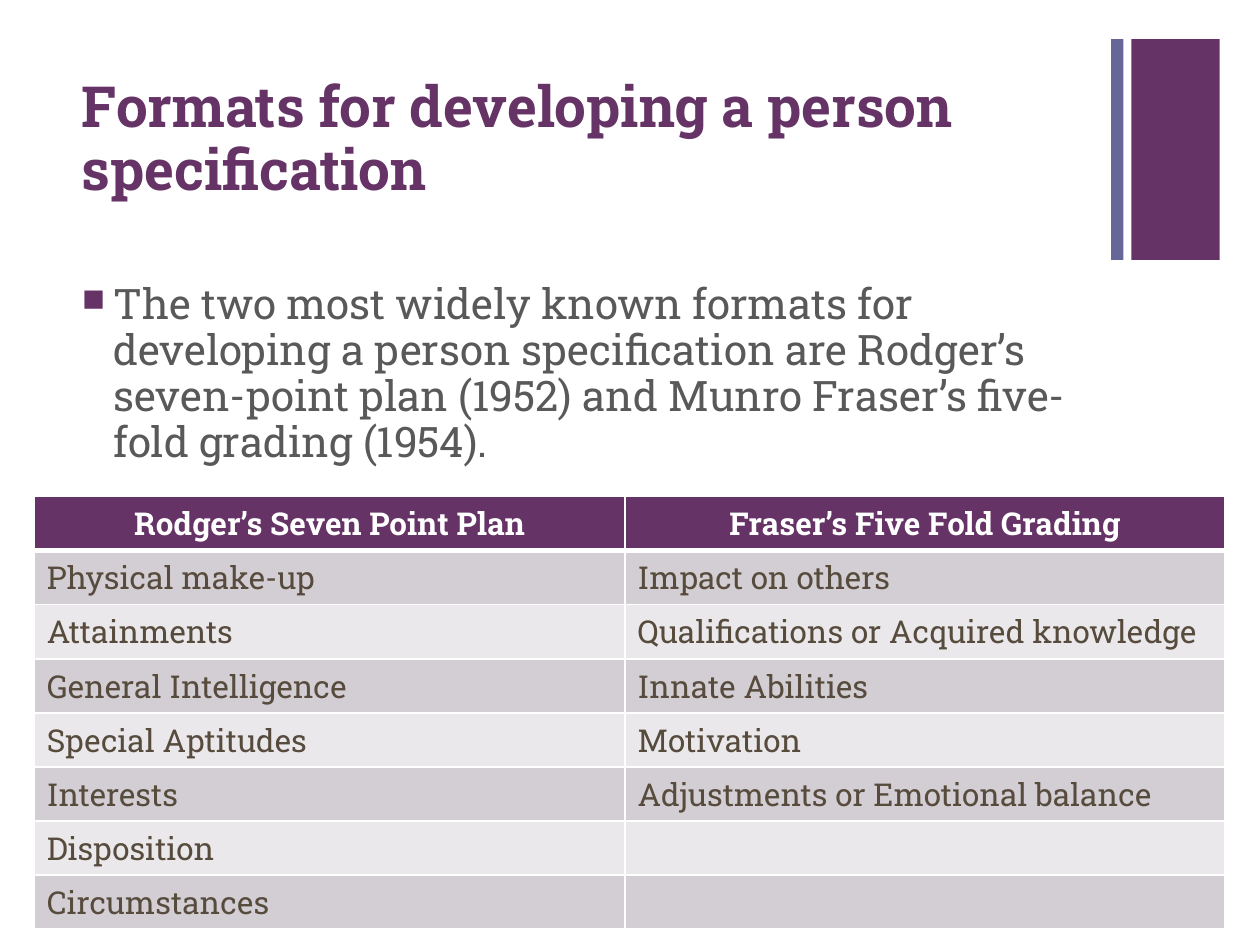
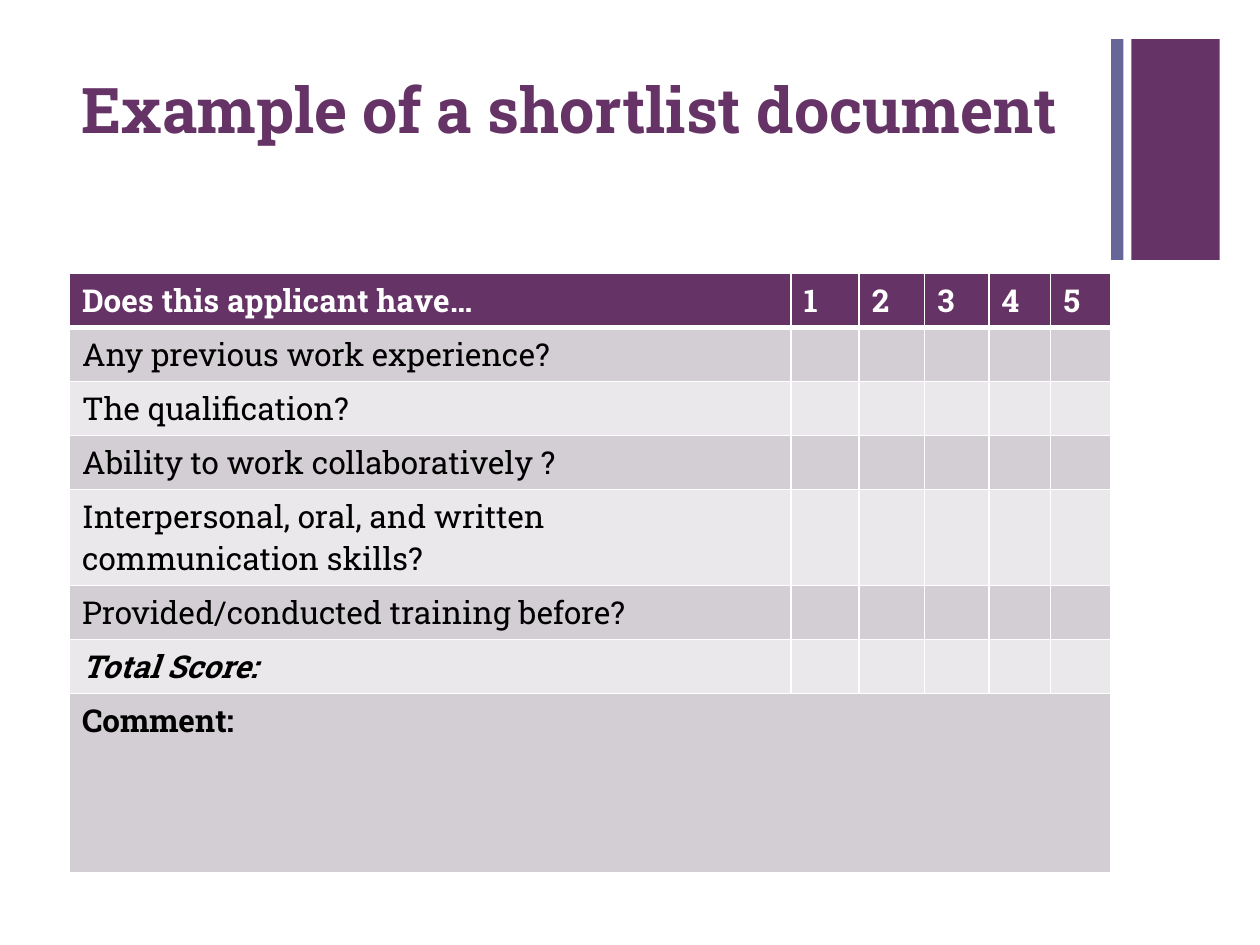
from lxml import etree
from pptx import Presentation
from pptx.dml.color import RGBColor
from pptx.enum.shapes import MSO_SHAPE
from pptx.enum.text import PP_ALIGN
from pptx.oxml.ns import qn
from pptx.util import Cm, Pt

RECT = MSO_SHAPE.RECTANGLE
LEFT, CENTER, JUSTIFY = PP_ALIGN.LEFT, PP_ALIGN.CENTER, PP_ALIGN.JUSTIFY

FONT = "Roboto Slab"
COLORS = {
    "plum": "663366",
    "slate": "666699",
    "white": "FFFFFF",
    "black": "000000",
    "body": "595959",
    "brown": "564B3C",
    "dark band": "D3CED3",
    "light band": "EAE8EA",
}
MARGIN, CONTENT_TOP, CONTENT_WIDTH = 1.4, 5.51, 20.98
ROW_HEIGHT = 1.09


def write(tf, text, size=18, color="body", bold=False, italic=False,
          align=LEFT, spacing=1.0, bullet=None):
    """Fill the first paragraph of a text frame, with an optional bullet."""
    tf.word_wrap = True
    p = tf.paragraphs[0]
    p.alignment = align
    p.line_spacing = spacing
    if bullet:
        pPr = p._p.get_or_add_pPr()
        pPr.set("marL", str(Cm(0.64)))
        pPr.set("indent", str(-Cm(0.64)))
        bu_color = etree.SubElement(pPr, qn("a:buClr"))
        etree.SubElement(bu_color, qn("a:srgbClr"), val=COLORS["plum"])
        etree.SubElement(pPr, qn("a:buSzPct"), val="75000")
        etree.SubElement(pPr, qn("a:buChar"), char=bullet)
    r = p.add_run()
    r.text = text
    r.font.name = FONT
    r.font.size = Pt(size)
    r.font.bold = bold
    r.font.italic = italic
    r.font.color.rgb = RGBColor.from_string(COLORS[color])


def style_cell(cell, fill, top=1, bottom=1):
    """Give a cell a plain fill and white borders, widths in points."""
    cell.fill.solid()
    cell.fill.fore_color.rgb = RGBColor.from_string(COLORS[fill])
    tcPr = cell._tc.get_or_add_tcPr()
    borders = [("a:lnL", 1), ("a:lnR", 1), ("a:lnT", top), ("a:lnB", bottom)]
    for i, (tag, width) in enumerate(borders):
        ln = etree.Element(qn(tag), w=str(Pt(width)))
        line_fill = etree.SubElement(ln, qn("a:solidFill"))
        etree.SubElement(line_fill, qn("a:srgbClr"), val=COLORS["white"])
        tcPr.insert(i, ln)


formats = {
    "title": "Formats for developing a person specification",
    "title size": 32.4,
    "bullet": "The two most widely known formats for developing a person "
              "specification are Rodger’s seven-point plan (1952) and Munro "
              "Fraser’s five-fold grading (1954).",
    "at": (0.69, 10.01),
    "columns": [11.91, 12.09],
    "heights": {},
    "header align": CENTER,
    "cell align": JUSTIFY,
    "cell color": "brown",
    "rows": [
        ("Rodger’s Seven Point Plan", "Fraser’s Five Fold Grading"),
        ("Physical make-up", "Impact on others"),
        ("Attainments", "Qualifications or Acquired knowledge"),
        ("General Intelligence", "Innate Abilities"),
        ("Special Aptitudes", "Motivation"),
        ("Interests", "Adjustments or Emotional balance"),
        ("Disposition",),
        ("Circumstances",),
    ],
}
shortlist = {
    "title": "Example of a shortlist document",
    "title size": 36,
    "at": (MARGIN, CONTENT_TOP),
    "columns": [14.55, 1.37, 1.32, 1.3, 1.24, 1.22],
    "heights": {4: 1.93, 7: 3.61},
    "header align": LEFT,
    "cell align": LEFT,
    "cell color": "black",
    "rows": [
        ("Does this applicant have…", "1", "2", "3", "4", "5"),
        ("Any previous work experience?",),
        ("The qualification?",),
        ("Ability to work collaboratively ?",),
        ("Interpersonal, oral, and written communication skills?",),
        ("Provided/conducted training before?",),
        ("Total Score:",),
        ("Comment:",),
    ],
}
EMPHASIS = {
    "Total Score:": {"bold": True, "italic": True},
    "Comment:": {"bold": True},
}

prs = Presentation()
prs.slide_width, prs.slide_height = Cm(25.4), Cm(19.05)

for page in (formats, shortlist):
    s = prs.slides.add_slide(prs.slide_layouts[6])

    # Corner bars
    for left, width, color in [(22.81, 1.78, "plum"), (22.4, 0.25, "slate")]:
        bar = s.shapes.add_shape(RECT, Cm(left), Cm(0.79), Cm(width), Cm(4.45))
        bar.shadow.inherit = False
        bar.fill.solid()
        bar.fill.fore_color.rgb = RGBColor.from_string(COLORS[color])
        bar.line.fill.background()

    # Title
    title = s.shapes.add_textbox(Cm(MARGIN), Cm(1.35), Cm(CONTENT_WIDTH), Cm(3.1))
    title.text_frame.margin_top = Cm(0.22)
    write(title.text_frame, page["title"], size=page["title size"],
          color="plum", bold=True, spacing=0.92)

    # Table
    rows, columns = page["rows"], page["columns"]
    heights = [page["heights"].get(i, ROW_HEIGHT) for i in range(len(rows))]
    left, top = page["at"]
    table = s.shapes.add_table(len(rows), len(columns), Cm(left), Cm(top),
                               Cm(sum(columns)), Cm(sum(heights))).table
    table.first_row = table.horz_banding = False
    for col, width in zip(table.columns, columns):
        col.width = Cm(width)
    for i, texts in enumerate(rows):
        table.rows[i].height = Cm(heights[i])
        fill = "plum" if i == 0 else "dark band" if i % 2 else "light band"
        for j in range(len(columns)):
            style_cell(table.cell(i, j), fill, top=3 if i == 1 else 1,
                       bottom=3 if i == 0 else 1)
        for j, text in enumerate(texts):
            if i == 0:
                style = {"color": "white", "bold": True,
                         "align": page["header align"]}
            else:
                style = {"color": page["cell color"],
                         "align": page["cell align"], **EMPHASIS.get(text, {})}
            write(table.cell(i, j).text_frame, text, **style)
    if page is shortlist:
        table.cell(7, 0).merge(table.cell(7, 5))

    # Bullet text
    if "bullet" in page:
        body = s.shapes.add_textbox(Cm(MARGIN), Cm(CONTENT_TOP),
                                    Cm(CONTENT_WIDTH), Cm(11.51))
        body.text_frame.margin_top = Cm(0.2)
        write(body.text_frame, page["bullet"], size=24, spacing=0.91, bullet="■")

prs.save("out.pptx")
